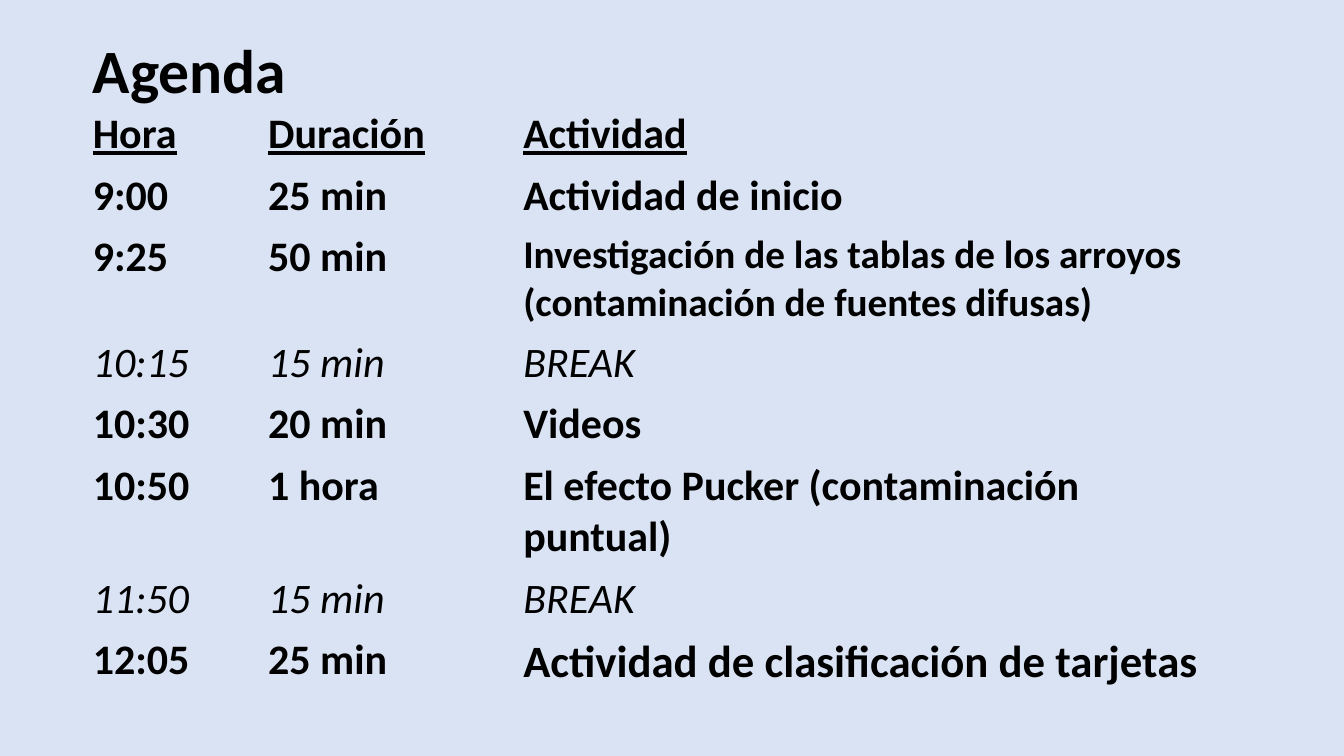
import pptx
import pptx.dml.color
import pptx.enum.text
import pptx.util

WIDTH, HEIGHT = 13.33, 7.5
MARGIN = 0.82
CONTENT_WIDTH = 11.5
COLUMN_WIDTHS = (1.74, 2.53, 7.24)
ROW_HEIGHT = 0.41
FONT = "Calibri"
COLORS = {"background": "DAE3F3", "text": "000000"}
BODY_SIZE = 30

AGENDA = [
    ("Hora", "Duración", "Actividad"),
    ("9:00", "25 min", "Actividad de inicio"),
    ("9:25", "50 min", "Investigación de las tablas de los arroyos (contaminación de fuentes difusas)"),
    ("10:15", "15 min", "BREAK"),
    ("10:30", "20 min", "Videos"),
    ("10:50", "1 hora", "El efecto Pucker (contaminación puntual)"),
    ("11:50", "15 min", "BREAK"),
    ("12:05", "25 min", "Actividad de clasificación de tarjetas"),
]
ACTIVITY_SIZES = {2: 28, 7: 32}


def color(name):
    return pptx.dml.color.RGBColor.from_string(COLORS[name])


def inches(*lengths):
    return [pptx.util.Inches(length) for length in lengths]


def add_span(para, text, size, bold=True, italic=False, underline=False):
    span = para.add_run()
    span.text = text
    font = span.font
    font.name = FONT
    font.size = pptx.util.Pt(size)
    font.bold = bold
    font.italic = italic
    font.underline = underline
    font.color.rgb = color("text")


def place_title(page, box):
    title = page.shapes.title
    title.left, title.top, title.width, title.height = inches(*box)
    title.text_frame.vertical_anchor = pptx.enum.text.MSO_ANCHOR.MIDDLE
    para = title.text_frame.paragraphs[0]
    para.alignment = pptx.enum.text.PP_ALIGN.LEFT
    para.line_spacing = 0.9
    add_span(para, "Agenda", 44)


def place_agenda(page, box):
    frame = page.shapes.add_table(len(AGENDA), len(COLUMN_WIDTHS), *inches(*box))
    table = frame.table
    table.first_row = False
    table.horz_banding = False
    for column, width in zip(table.columns, COLUMN_WIDTHS):
        column.width = pptx.util.Inches(width)
    for row_index, entries in enumerate(AGENDA):
        table.rows[row_index].height = pptx.util.Inches(ROW_HEIGHT)
        is_header = row_index == 0
        is_break = entries[-1] == "BREAK"
        for column_index, text in enumerate(entries):
            cell = table.cell(row_index, column_index)
            cell.fill.solid()
            cell.fill.fore_color.rgb = color("background")
            is_activity = column_index == len(entries) - 1
            size = ACTIVITY_SIZES.get(row_index, BODY_SIZE) if is_activity else BODY_SIZE
            add_span(cell.text_frame.paragraphs[0], text, size,
                     bold=not is_break, italic=is_break, underline=is_header)
    style = frame._element.find(".//{*}tableStyleId")
    style.text = "{2D5ABB26-0587-4C30-8999-92F81FD0307C}"


def build_agenda_slide(deck):
    page = deck.slides.add_slide(deck.slide_layouts[5])
    page.background.fill.solid()
    page.background.fill.fore_color.rgb = color("background")
    place_title(page, (MARGIN, 0, CONTENT_WIDTH, 1.45))
    place_agenda(page, (MARGIN, 1.03, CONTENT_WIDTH, ROW_HEIGHT * len(AGENDA)))


def main():
    deck = pptx.Presentation()
    deck.slide_width, deck.slide_height = inches(WIDTH, HEIGHT)
    build_agenda_slide(deck)
    deck.save("out.pptx")


if __name__ == "__main__":
    main()
